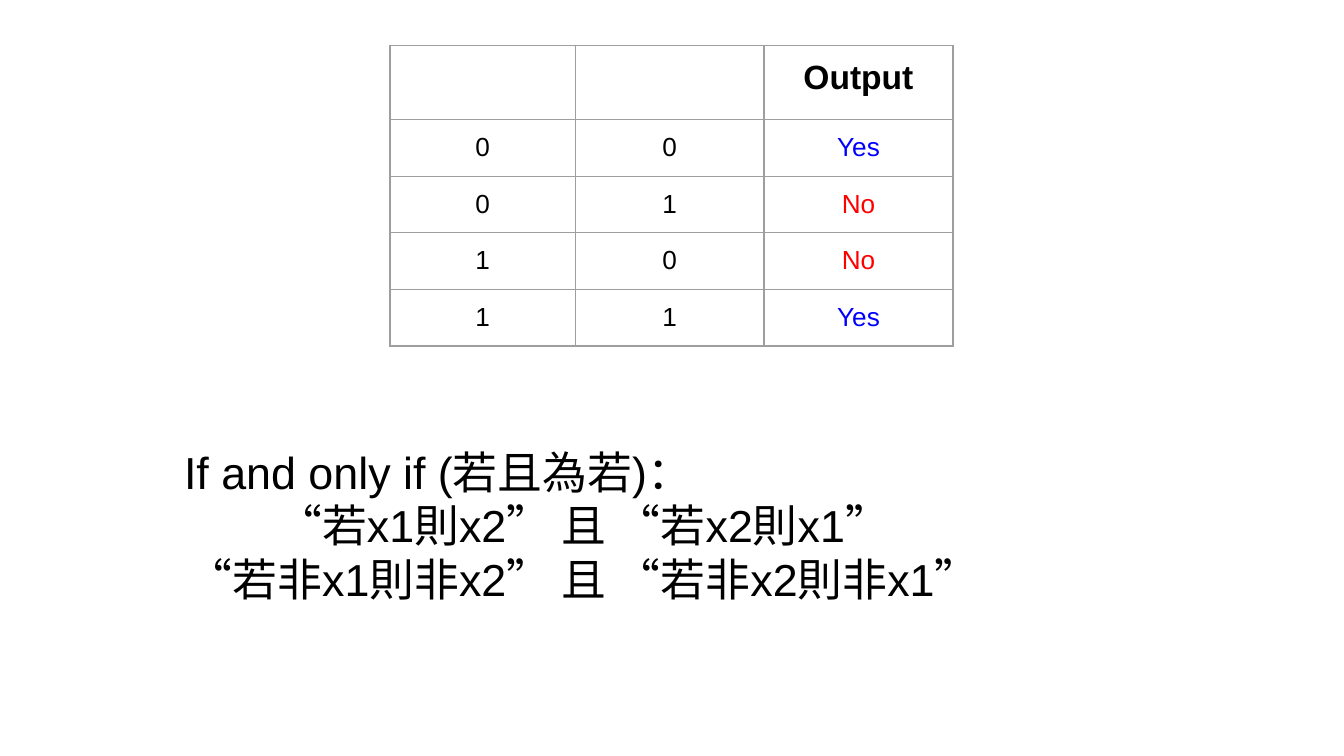
from lxml.etree import SubElement
from pptx import Presentation
from pptx.dml.color import RGBColor
from pptx.enum.text import MSO_ANCHOR, PP_ALIGN
from pptx.oxml.ns import qn
from pptx.util import Cm, Pt

COLORS = {"text": "000000", "yes": "0000FF", "no": "FF0000", "grid": "9E9E9E"}
INSET = Cm(0.25)
MARGINS = {f"margin_{side}": INSET for side in ("left", "right", "top", "bottom")}

HEADER_FONT = {"name": "Arial", "size": Pt(18), "bold": True}
CELL_FONT = {"name": "Arial", "size": Pt(14), "bold": False}
STATEMENT_FONT = {"name": "Arial", "size": Pt(24)}

COLUMN_WIDTHS = [3.5, 3.57, 3.57]
ROW_HEIGHTS = [1.4] + [1.07] * 4
TRUTH_TABLE = [["", "", "Output"]] + [
    [str(x1), str(x2), "Yes" if x1 == x2 else "No"]
    for x1 in (0, 1) for x2 in (0, 1)
]
STATEMENT = [
    ("If and only if (若且為若)：", PP_ALIGN.LEFT),
    ("“若x1則x2” 且 “若x2則x1”", PP_ALIGN.CENTER),
    ("“若非x1則非x2” 且 “若非x2則非x1”", PP_ALIGN.CENTER),
]


def apply_format(target, values):
    for name, value in values.items():
        setattr(target, name, value)


def write_paragraph(paragraph, text, font_format, alignment, color="text"):
    paragraph.alignment = alignment
    apply_format(paragraph.font, font_format)
    if text:
        run = paragraph.add_run()
        run.text = text
        apply_format(run.font, font_format)
        run.font.color.rgb = RGBColor.from_string(COLORS[color])


def add_borders(cell):
    properties = cell._tc.get_or_add_tcPr()
    for side in ("lnL", "lnR", "lnT", "lnB"):
        line = SubElement(properties, qn(f"a:{side}"), w=str(Pt(0.75)))
        fill = SubElement(line, qn("a:solidFill"))
        SubElement(fill, qn("a:srgbClr"), val=COLORS["grid"])


def add_truth_table(slide):
    frame = slide.shapes.add_table(
        len(ROW_HEIGHTS), len(COLUMN_WIDTHS), Cm(7.37), Cm(0.86),
        Cm(sum(COLUMN_WIDTHS)), Cm(sum(ROW_HEIGHTS)))
    table = frame.table
    apply_format(table, {"first_row": False, "horz_banding": False})
    for column, width in zip(table.columns, COLUMN_WIDTHS):
        column.width = Cm(width)
    for row, height in zip(table.rows, ROW_HEIGHTS):
        row.height = Cm(height)

    for row_index, texts in enumerate(TRUTH_TABLE):
        font_format = CELL_FONT if row_index else HEADER_FONT
        for column_index, text in enumerate(texts):
            cell = table.cell(row_index, column_index)
            apply_format(cell, {**MARGINS, "vertical_anchor": MSO_ANCHOR.TOP})
            add_borders(cell)
            cell.fill.background()
            color = text.lower() if text in ("Yes", "No") else "text"
            write_paragraph(cell.text_frame.paragraphs[0], text, font_format,
                            PP_ALIGN.CENTER, color)


def add_statement(slide):
    box = slide.shapes.add_textbox(Cm(3.23), Cm(8.15), Cm(15.6), Cm(3.58))
    frame = box.text_frame
    apply_format(frame, {**MARGINS, "word_wrap": True,
                         "vertical_anchor": MSO_ANCHOR.TOP})
    for index, (text, alignment) in enumerate(STATEMENT):
        paragraph = frame.add_paragraph() if index else frame.paragraphs[0]
        write_paragraph(paragraph, text, STATEMENT_FONT, alignment)


def main():
    presentation = Presentation()
    apply_format(presentation, {"slide_width": Cm(25.4), "slide_height": Cm(14.29)})
    slide = presentation.slides.add_slide(presentation.slide_layouts[6])

    # Truth table of the two inputs
    add_truth_table(slide)

    # Meaning of the table in words
    add_statement(slide)

    presentation.save("out.pptx")


if __name__ == "__main__":
    main()
